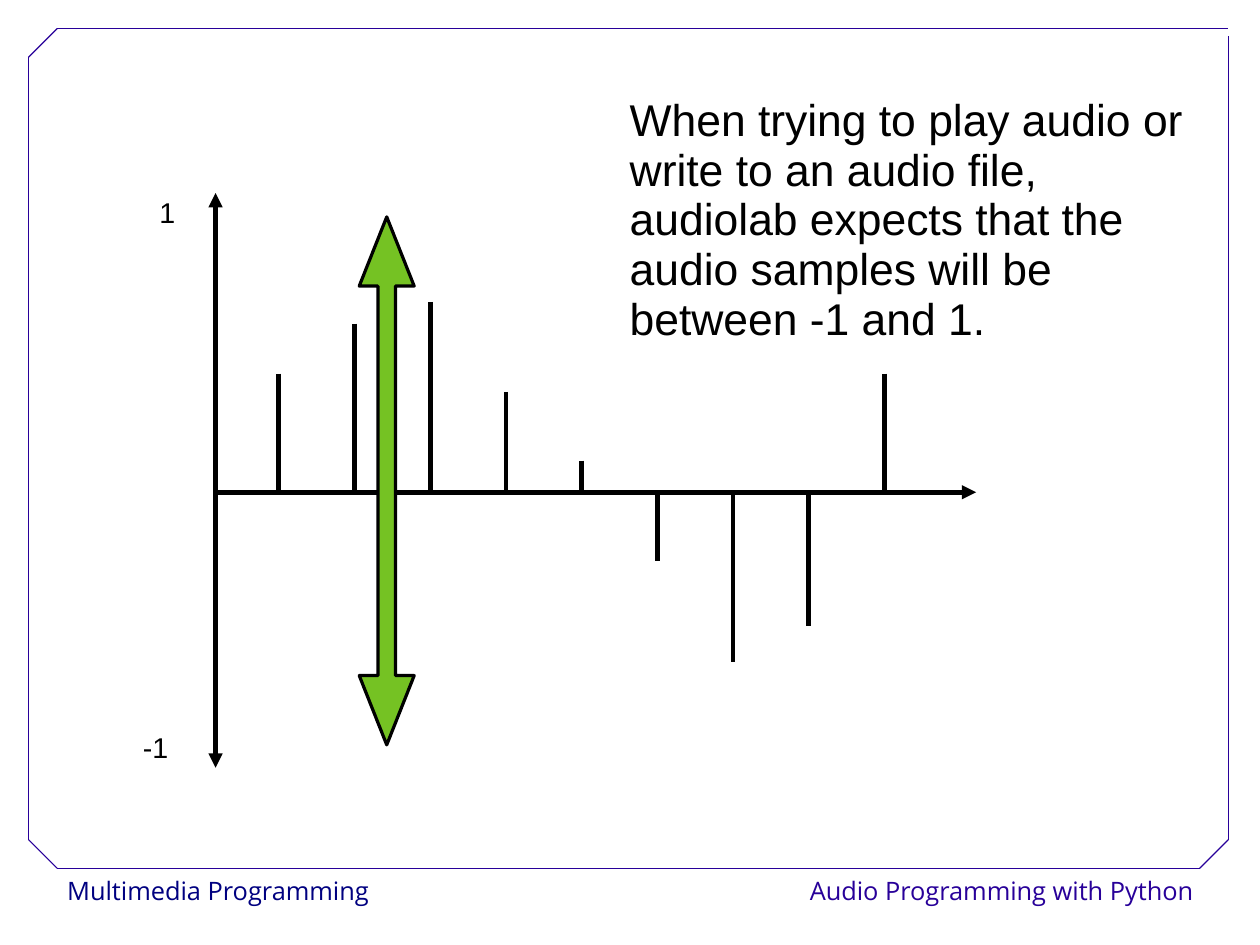
import pptx
import pptx.dml.color
import pptx.enum.shapes
import pptx.enum.text
import pptx.oxml.ns
import pptx.util
from lxml import etree

Pt = pptx.util.Pt
RGBColor = pptx.dml.color.RGBColor
Align = pptx.enum.text.PP_ALIGN
Anchor = pptx.enum.text.MSO_ANCHOR

BLACK = RGBColor(0, 0, 0)
WHITE = RGBColor(255, 255, 255)
NAVY = RGBColor(0, 0, 128)
INDIGO = RGBColor(0x28, 0, 0x99)
GREEN = RGBColor(0x75, 0xC2, 0x23)

AXIS_X, BASELINE = 135.8, 310.1
FIRST_SAMPLE_X, SAMPLE_GAP = 175.6, 47.7
SAMPLE_ENDS = [235.4, 203.8, 190.1, 246.8, 290.2, 353.4, 417.3, 394.4, 235.4]

FRAME_LEFT, FRAME_TOP, FRAME_RIGHT, FRAME_BOTTOM = 18, 18, 773.7, 547
CORNER = 18
INNER_LEFT, INNER_TOP = FRAME_LEFT + CORNER, FRAME_TOP + CORNER
INNER_RIGHT, INNER_BOTTOM = FRAME_RIGHT - CORNER, FRAME_BOTTOM - CORNER
FRAME_LINES = [
    (INNER_LEFT, FRAME_BOTTOM, INNER_RIGHT, FRAME_BOTTOM),
    (FRAME_LEFT, INNER_BOTTOM, FRAME_LEFT, INNER_TOP),
    (INNER_LEFT, FRAME_TOP, FRAME_RIGHT, FRAME_TOP),
    (FRAME_RIGHT, INNER_BOTTOM, FRAME_RIGHT, 23),
    (FRAME_LEFT, INNER_TOP, INNER_LEFT, FRAME_TOP),
    (INNER_RIGHT, FRAME_BOTTOM, FRAME_RIGHT, INNER_BOTTOM),
    (FRAME_LEFT, INNER_BOTTOM, INNER_LEFT, FRAME_BOTTOM),
]


def add_line(shapes, ends, color=BLACK, width=3, arrows=()):
    line = shapes.add_connector(
        pptx.enum.shapes.MSO_CONNECTOR.STRAIGHT, *[Pt(value) for value in ends])
    line.line.color.rgb = color
    line.line.width = Pt(width)
    properties = line._element.spPr
    outline = properties.find(pptx.oxml.ns.qn("a:ln"))
    for arrow in arrows:
        end = etree.SubElement(outline, pptx.oxml.ns.qn(f"a:{arrow}"))
        end.set("type", "triangle")
    etree.SubElement(properties, pptx.oxml.ns.qn("a:effectLst"))


def add_text(slide, text, box, size, font="Arial", color=BLACK, align=Align.LEFT,
             anchor=Anchor.MIDDLE, margins=(0, 0), spacing=0.93, wrap=True):
    shape = slide.shapes.add_textbox(*[Pt(value) for value in box])
    frame = shape.text_frame
    frame.word_wrap = wrap
    frame.vertical_anchor = anchor
    frame.margin_left = frame.margin_right = Pt(margins[0])
    frame.margin_top = frame.margin_bottom = Pt(margins[1])
    frame.text = text
    paragraph = frame.paragraphs[0]
    paragraph.alignment = align
    paragraph.line_spacing = spacing
    run_font = paragraph.runs[0].font
    run_font.name = font
    run_font.size = Pt(size)
    run_font.color.rgb = color
    return shape


def add_footer(slide, text, left, width, color, align):
    shape = add_text(slide, text, (left, 547.2, width, 28.8), 16, "Open Sans", color,
                     align, Anchor.TOP, (7.2, 3.6), 1.02)
    shape.fill.solid()
    shape.fill.fore_color.rgb = WHITE


def add_frame(slide):
    group = slide.shapes.add_group_shape()
    for ends in FRAME_LINES:
        add_line(group.shapes, ends, INDIGO, 0.75)


def add_axes(slide):
    group = slide.shapes.add_group_shape()
    add_line(group.shapes, (AXIS_X, 121.6, AXIS_X, 483.6), arrows=("headEnd", "tailEnd"))
    add_line(group.shapes, (614.9, BASELINE, AXIS_X, BASELINE), arrows=("headEnd",))


def add_samples(slide):
    for index, end in enumerate(SAMPLE_ENDS):
        x = FIRST_SAMPLE_X + index * SAMPLE_GAP
        add_line(slide.shapes, (x, min(end, BASELINE), x, max(end, BASELINE)))


def add_range_arrow(slide):
    arrow = slide.shapes.add_shape(
        pptx.enum.shapes.MSO_SHAPE.LEFT_RIGHT_ARROW, Pt(77.3), Pt(285.6), Pt(332.6), Pt(34.6))
    arrow.rotation = 90
    arrow.adjustments[0] = 0.32
    arrow.adjustments[1] = 1.26
    arrow.shadow.inherit = False
    arrow.fill.solid()
    arrow.fill.fore_color.rgb = GREEN
    arrow.line.color.rgb = BLACK
    arrow.line.width = Pt(2)


def main():
    presentation = pptx.Presentation()
    presentation.slide_width = Pt(793.7)
    presentation.slide_height = Pt(595.28)
    slide = presentation.slides.add_slide(presentation.slide_layouts[6])
    add_footer(slide, "Multimedia Programming", 35.3, 210, NAVY, Align.LEFT)
    add_footer(slide, "Audio Programming with Python", 488.9, 270, INDIGO, Align.RIGHT)
    add_frame(slide)
    add_axes(slide)
    add_samples(slide)
    add_text(slide, "When trying to play audio or write to an audio file, audiolab expects "
             "that the audio samples will be between -1 and 1.", (396.7, 62.6, 355, 153.4), 28)
    add_range_arrow(slide)
    upper_label = add_text(slide, "1", (100.4, 124.6, 10.1, 20.2), 18, wrap=False)
    upper_label.text_frame.auto_size = pptx.enum.text.MSO_AUTO_SIZE.SHAPE_TO_FIT_TEXT
    add_text(slide, "-1", (90, 450.7, 34.6, 41.8), 18)
    presentation.save("out.pptx")


if __name__ == "__main__":
    main()
